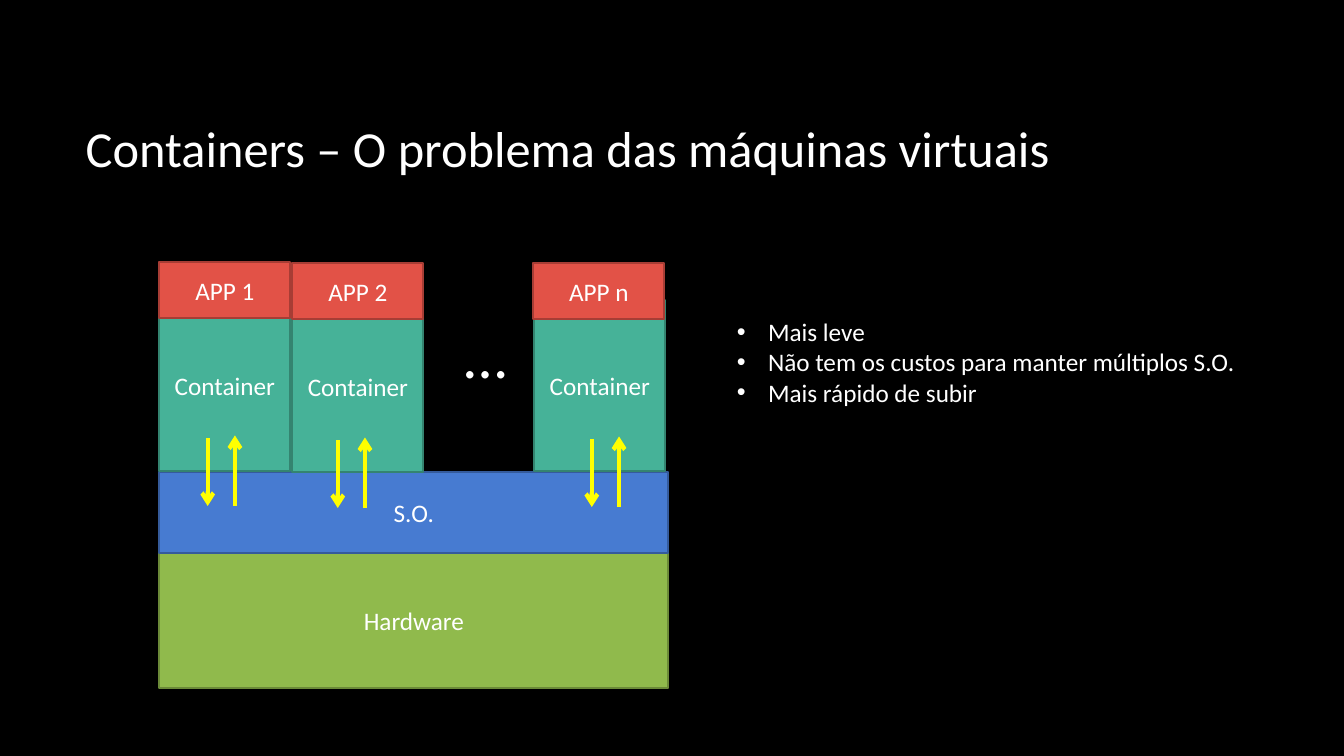
"""Builds the slide on containers and the problem of virtual machines."""
from dataclasses import dataclass

from lxml import etree
from pptx import Presentation
from pptx.dml.color import RGBColor
from pptx.enum.shapes import MSO_CONNECTOR, MSO_SHAPE
from pptx.enum.text import MSO_ANCHOR, MSO_AUTO_SIZE, PP_ALIGN
from pptx.oxml.ns import qn
from pptx.util import Inches, Pt

RECT = MSO_SHAPE.RECTANGLE
STRAIGHT = MSO_CONNECTOR.STRAIGHT
MIDDLE = MSO_ANCHOR.MIDDLE
GROW = MSO_AUTO_SIZE.SHAPE_TO_FIT_TEXT
LEFT, CENTER = PP_ALIGN.LEFT, PP_ALIGN.CENTER
TITLE_ONLY = 5


@dataclass(frozen=True)
class Theme:
    """Colours as (fill, outline) or plain hex, and sizes in points."""
    font: str = "Calibri"
    background: str = "000000"
    text: str = "FFFFFF"
    arrow: str = "FFFF00"
    hardware: tuple = ("90BA4C", "6B8A38")
    system: tuple = ("477BD1", "355B9B")
    container: tuple = ("46B298", "348470")
    app: tuple = ("E25247", "A73D35")
    title_size: int = 36
    body_size: int = 18
    dots_size: int = 44
    outline_width: float = 1.5
    arrow_width: int = 3


THEME = Theme()

BLOCK_SIZE = (1.3, 1.69)
APP_SIZE = (1.3, 0.56)
ARROW_LENGTH, ARROW_GAP, ARROW_RISE = 0.67, 0.27, 0.03

STACKS = [
    {"app": "APP 1", "app_at": (1.58, 2.6), "container_at": (1.58, 2.98), "arrows_at": (2.06, 4.35)},
    {"app": "APP 2", "app_at": (2.9, 2.61), "container_at": (2.9, 2.99), "arrows_at": (3.35, 4.37)},
    {"app": "APP n", "app_at": (5.29, 2.61), "container_at": (5.3, 2.98), "arrows_at": (5.87, 4.36)},
]
BENEFITS = ["Mais leve", "Não tem os custos para manter múltiplos S.O.", "Mais rápido de subir"]


def rgb(value):
    """Turn a hex string into a colour."""
    return RGBColor.from_string(value)


def write(p, text, size, align=LEFT):
    """Put one formatted run of text in a paragraph."""
    p.alignment = align
    r = p.add_run()
    r.text = text
    for name, value in {"name": THEME.font, "size": Pt(size), "bold": False}.items():
        setattr(r.font, name, value)
    r.font.color.rgb = rgb(THEME.text)


def add_title(s, text):
    """Move and fill the title placeholder."""
    sp = s.shapes.title
    box = {"left": 0.75, "top": 0.67, "width": 11.08, "height": 1.59}
    for name, value in box.items():
        setattr(sp, name, Inches(value))
    tf = sp.text_frame
    tf.vertical_anchor = MIDDLE
    write(tf.paragraphs[0], text, THEME.title_size)


def add_block(s, text, at, size, colors):
    """Add a labelled rectangle."""
    sp = s.shapes.add_shape(RECT, *map(Inches, at + size))
    sp.shadow.inherit = False
    fill, outline = colors
    sp.fill.solid()
    sp.fill.fore_color.rgb = rgb(fill)
    sp.line.color.rgb = rgb(outline)
    sp.line.width = Pt(THEME.outline_width)
    tf = sp.text_frame
    tf.word_wrap = True
    tf.vertical_anchor = MIDDLE
    write(tf.paragraphs[0], text, THEME.body_size, CENTER)


def add_arrow(s, x, start, end):
    """Add a vertical arrow that points to its end."""
    cn = s.shapes.add_connector(STRAIGHT, *map(Inches, (x, start, x, end)))
    cn.line.color.rgb = rgb(THEME.arrow)
    cn.line.width = Pt(THEME.arrow_width)
    etree.SubElement(cn.line._get_or_add_ln(), qn("a:tailEnd"), type="arrow")
    etree.SubElement(cn._element.spPr, qn("a:effectLst"))


def add_arrow_pair(s, x, top):
    """Add a downward arrow and an upward one beside it."""
    bottom = top + ARROW_LENGTH
    add_arrow(s, x, top, bottom)
    add_arrow(s, x + ARROW_GAP, bottom, top - ARROW_RISE)


def add_text_box(s, lines, box, size, wrap=True, bullets=False):
    """Add a text box with one paragraph for each line."""
    tf = s.shapes.add_textbox(*map(Inches, box)).text_frame
    tf.word_wrap = wrap
    tf.auto_size = GROW
    for i, line in enumerate(lines):
        p = tf.add_paragraph() if i else tf.paragraphs[0]
        if bullets:
            add_bullet(p)
        write(p, line, size)


def add_bullet(p):
    """Give a paragraph a round bullet and a hanging indent."""
    pPr = p._p.get_or_add_pPr()
    indent = Inches(0.31)
    pPr.set("marL", str(indent))
    pPr.set("indent", str(-indent))
    etree.SubElement(pPr, qn("a:buFont"), typeface="Arial")
    etree.SubElement(pPr, qn("a:buChar"), char="•")


def main():
    """Build and save the slide."""
    prs = Presentation()
    prs.slide_width, prs.slide_height = Inches(13.33), Inches(7.5)
    s = prs.slides.add_slide(prs.slide_layouts[TITLE_ONLY])
    s.background.fill.solid()
    s.background.fill.fore_color.rgb = rgb(THEME.background)

    add_title(s, "Containers – O problema das máquinas virtuais")
    add_block(s, "Hardware", (1.58, 5.49), (5.05, 1.34), THEME.hardware)
    add_block(s, "S.O.", (1.58, 4.68), (5.05, 0.81), THEME.system)
    for stack in STACKS:
        add_block(s, "Container", stack["container_at"], BLOCK_SIZE, THEME.container)
    add_text_box(s, ["…"], (4.51, 3.09, 0.63, 0.84), THEME.dots_size, wrap=False)
    for stack in STACKS:
        add_block(s, stack["app"], stack["app_at"], APP_SIZE, THEME.app)
    for stack in STACKS:
        add_arrow_pair(s, *stack["arrows_at"])
    add_text_box(s, BENEFITS, (7.21, 3.09, 5.24, 1.01), THEME.body_size, bullets=True)

    prs.save("out.pptx")


if __name__ == "__main__":
    main()
